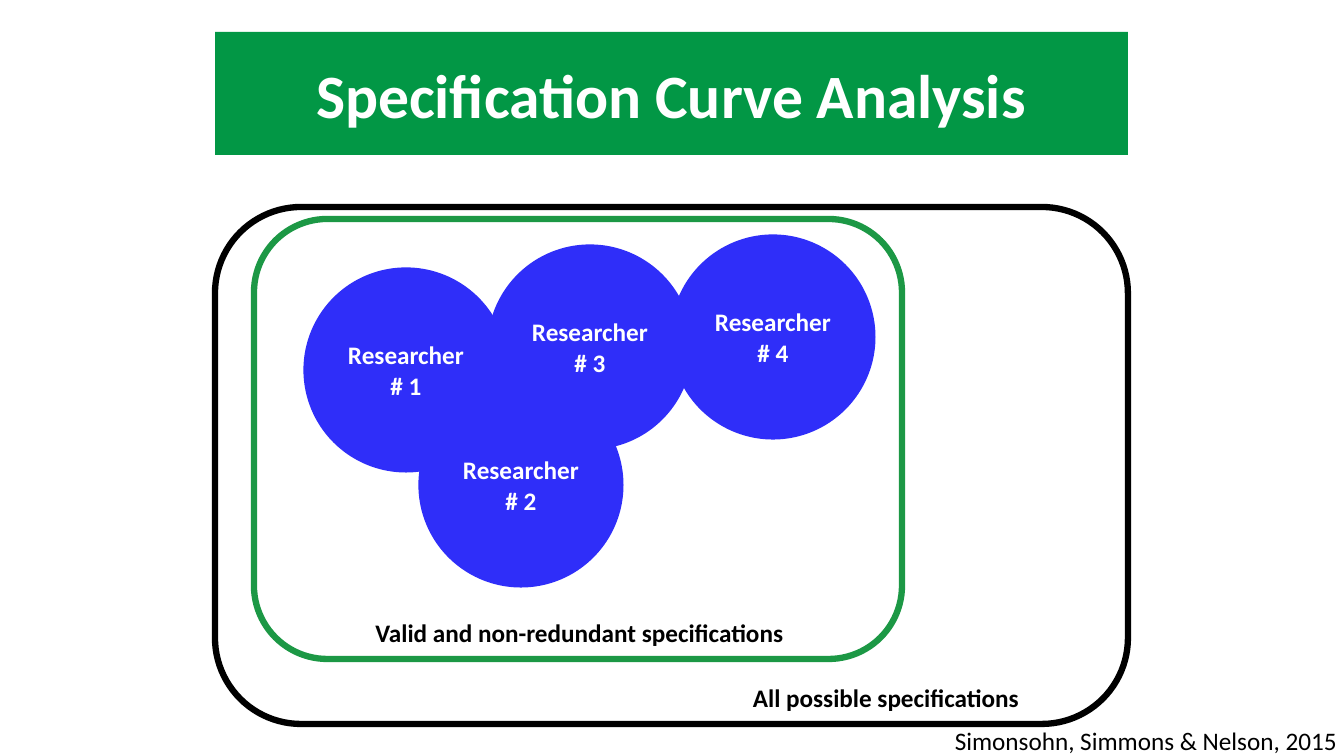
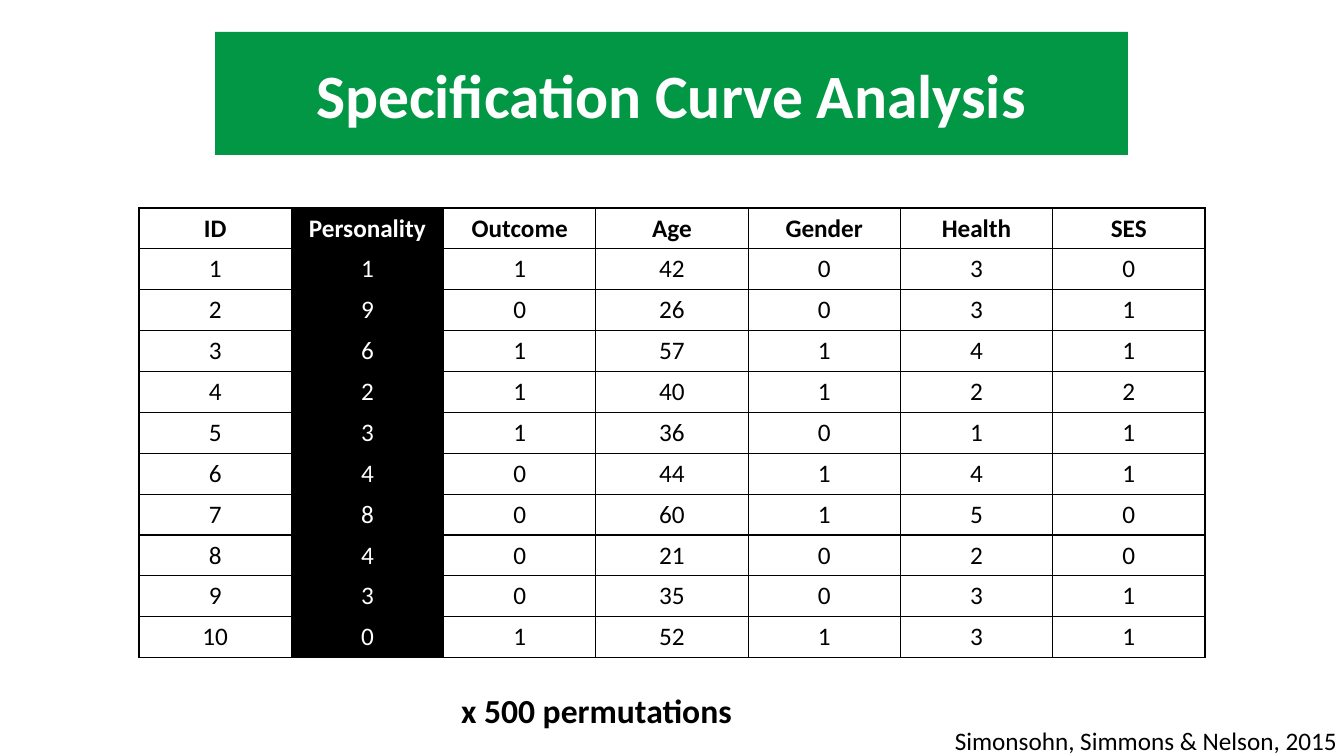
from lxml.etree import SubElement
from pptx import Presentation
from pptx.dml.color import RGBColor
from pptx.enum.shapes import MSO_SHAPE as Preset
from pptx.enum.text import MSO_ANCHOR as Anchor, MSO_AUTO_SIZE as AutoSize, PP_ALIGN as Align
from pptx.oxml.ns import qn
from pptx.util import Pt

# Shared look
PX = 914400 / 100.8
SLIDE_SIZE = (1344, 756)
FONT = "Calibri"
COLORS = {
    "band": "029745",
    "frame": "1C9845",
    "circle": "2F2EF9",
    "black": "000000",
    "white": "FFFFFF",
}
TITLE = "Specification Curve Analysis"
TITLE_BOX = (215, 32, 913, 123)
CITATION = "Simonsohn, Simmons & Nelson, 2015"
CITATION_BOX = (886, 724, 461, 32)

# Slide 1: nested sets of specifications
# frame box, fill, line, label, label box
FRAMES = [
    ((215, 207, 913, 517), "white", "black",
     "All possible specifications", (723, 677, 326, 41)),
    ((254, 219, 648, 440), None, "frame",
     "Valid and non-redundant specifications", (356, 612, 447, 41)),
]
CIRCLE_SIZE = 202
# text, left, top (back to front)
RESEARCHERS = [
    ("Researcher # 1", 305, 269),
    ("Researcher # 4", 672, 236),
    ("Researcher # 2", 420, 384),
    ("Researcher # 3", 489, 246),
]

# Slide 2: sample data
HEADERS = ["ID", "Personality", "Outcome", "Age", "Gender", "Health", "SES"]
ROWS = [
    (1, 1, 1, 42, 0, 3, 0),
    (2, 9, 0, 26, 0, 3, 1),
    (3, 6, 1, 57, 1, 4, 1),
    (4, 2, 1, 40, 1, 2, 2),
    (5, 3, 1, 36, 0, 1, 1),
    (6, 4, 0, 44, 1, 4, 1),
    (7, 8, 0, 60, 1, 5, 0),
    (8, 4, 0, 21, 0, 2, 0),
    (9, 3, 0, 35, 0, 3, 1),
    (10, 0, 1, 52, 1, 3, 1),
]
HIGHLIGHTED = "Personality"
TABLE_BOX = (139, 208, 1066, 450)
PERMUTATIONS = "x 500 permutations"
PERMUTATIONS_BOX = (448, 679, 297, 63)


def emu(box):
    return [round(length * PX) for length in box]


def color(name):
    return RGBColor.from_string(COLORS[name])


def write(text_frame, text, size=18, text_color="black", bold=True, align=Align.CENTER):
    text_frame.text = text
    paragraph = text_frame.paragraphs[0]
    paragraph.alignment = align
    font = paragraph.runs[0].font
    font.name, font.size, font.bold = FONT, Pt(size), bold
    font.color.rgb = color(text_color)


def add_label(slide, box, text, **style):
    text_frame = slide.shapes.add_textbox(*emu(box)).text_frame
    text_frame.word_wrap = True
    text_frame.vertical_anchor = Anchor.MIDDLE
    write(text_frame, text, **style)


def add_outlined(slide, preset, box, fill, line, width):
    shape = slide.shapes.add_shape(preset, *emu(box))
    shape.shadow.inherit = False
    if fill:
        shape.fill.solid()
        shape.fill.fore_color.rgb = color(fill)
    else:
        shape.fill.background()
    shape.line.color.rgb = color(line)
    shape.line.width = Pt(width)
    return shape


def add_slide(presentation):
    slide = presentation.slides.add_slide(presentation.slide_layouts[5])
    title = slide.shapes.title
    title.left, title.top, title.width, title.height = emu(TITLE_BOX)
    title.fill.solid()
    title.fill.fore_color.rgb = color("band")
    title.text_frame.auto_size = AutoSize.NONE
    title.text_frame.vertical_anchor = Anchor.MIDDLE
    write(title.text_frame, TITLE, size=44, text_color="white")
    return slide


def add_citation(slide):
    add_label(slide, CITATION_BOX, CITATION, bold=False, align=Align.RIGHT)


def add_borders(cell):
    properties = cell._tc.get_or_add_tcPr()
    for side in ("a:lnL", "a:lnR", "a:lnT", "a:lnB"):
        line = SubElement(properties, qn(side), w=str(Pt(1)))
        fill = SubElement(line, qn("a:solidFill"))
        SubElement(fill, qn("a:srgbClr"), val=COLORS["black"])


def build_diagram(presentation):
    slide = add_slide(presentation)
    for box, fill, line, label, label_box in FRAMES:
        add_outlined(slide, Preset.ROUNDED_RECTANGLE, box, fill, line, 4.5)
        add_label(slide, label_box, label)
    for text, left, top in RESEARCHERS:
        box = (left, top, CIRCLE_SIZE, CIRCLE_SIZE)
        circle = add_outlined(slide, Preset.OVAL, box, "circle", "circle", 2.25)
        circle.text_frame.vertical_anchor = Anchor.MIDDLE
        write(circle.text_frame, text, text_color="white")
    add_citation(slide)


def build_table(presentation):
    slide = add_slide(presentation)
    rows = [HEADERS, *ROWS]
    table = slide.shapes.add_table(len(rows), len(HEADERS), *emu(TABLE_BOX)).table
    table.horz_banding = False
    for row_index, row in enumerate(rows):
        for column_index, value in enumerate(row):
            cell = table.cell(row_index, column_index)
            fill, text_color = "white", "black"
            if HEADERS[column_index] == HIGHLIGHTED:
                fill, text_color = text_color, fill
            add_borders(cell)
            cell.fill.solid()
            cell.fill.fore_color.rgb = color(fill)
            write(cell.text_frame, str(value), text_color=text_color, bold=row_index == 0)
    add_label(slide, PERMUTATIONS_BOX, PERMUTATIONS, size=24)
    add_citation(slide)


def main():
    presentation = Presentation()
    presentation.slide_width, presentation.slide_height = emu(SLIDE_SIZE)
    build_diagram(presentation)
    build_table(presentation)
    presentation.save("out.pptx")


if __name__ == "__main__":
    main()
